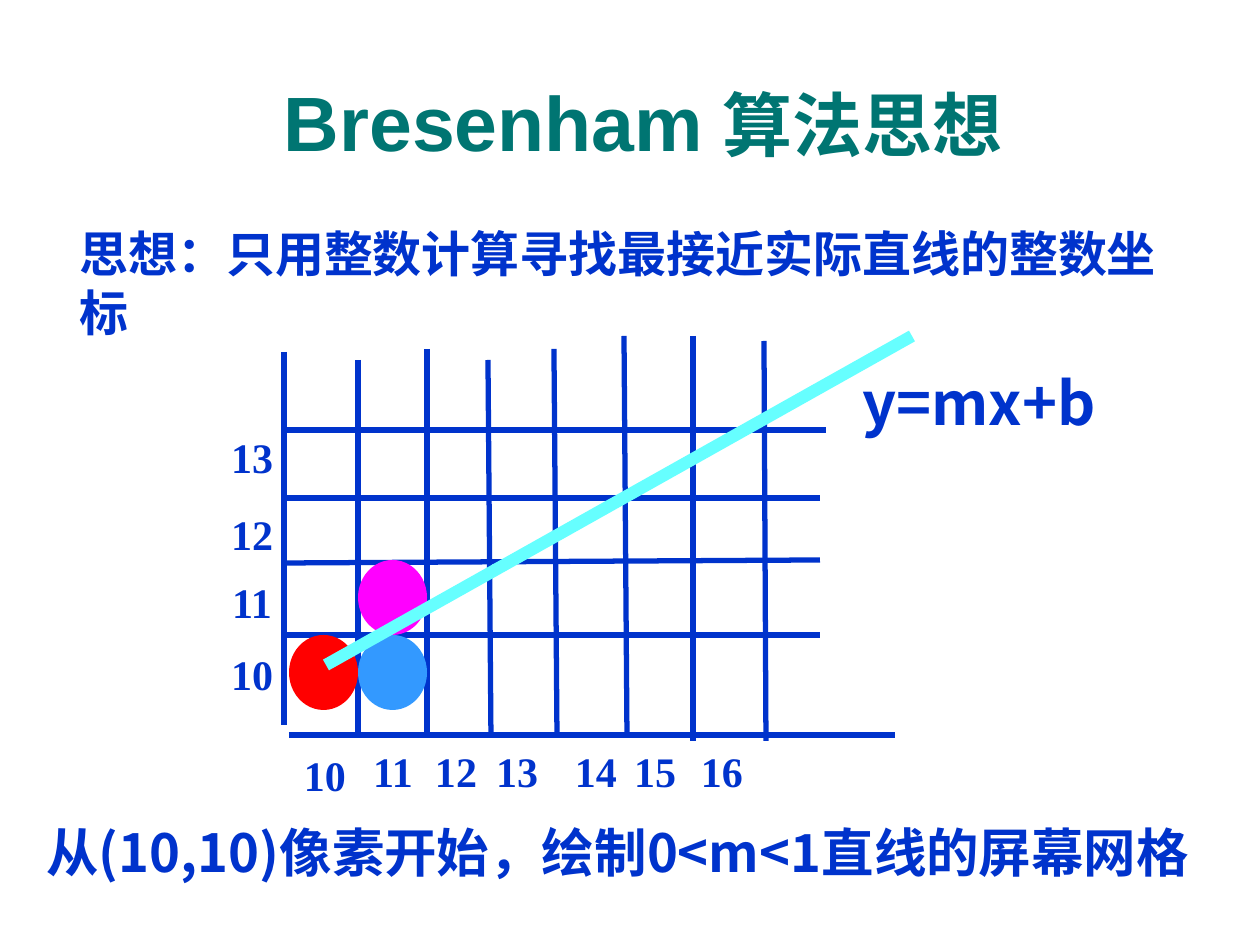
from pptx import Presentation
from pptx.dml.color import RGBColor
from pptx.enum.shapes import MSO_CONNECTOR, MSO_SHAPE
from pptx.enum.text import MSO_ANCHOR, PP_ALIGN
from pptx.oxml.ns import qn
from pptx.util import Emu, Pt

STRAIGHT, OVAL = MSO_CONNECTOR.STRAIGHT, MSO_SHAPE.OVAL
TOP, MIDDLE = MSO_ANCHOR.TOP, MSO_ANCHOR.MIDDLE
LEFT, CENTER = PP_ALIGN.LEFT, PP_ALIGN.CENTER
SCALE = 914400 / 126  # EMU per px

BLUE, TEAL, CYAN = "0033CC", "007572", "66FFFF"
ARIAL, SERIF, SANS = "Arial", "Times New Roman", "Noto Sans CJK SC"

# Content
TITLE = [(" ", 40), ("Bresenham", 44), (" 算法思想", 40)]
IDEA = "思想：只用整数计算寻找最接近实际直线的整数坐标"
CAPTION = "从(10,10)像素开始，绘制0<m<1直线的屏幕网格"
EQUATION = "y=mx+b"

AXES = [(289, 735, 895, 735), (284, 352, 284, 725)]
# Row lines: start y, end y, right end
ROWS = [(430, 430, 826), (498, 498, 820), (563, 560, 820), (635, 635, 820)]
# Column lines: top x, top y, bottom x, bottom y
COLUMNS = [
    (358, 360, 358, 735), (427, 349, 427, 735), (488, 360, 491, 735),
    (554, 349, 557, 735), (624, 336, 627, 735), (693, 336, 693, 741),
    (764, 341, 766, 741),
]
GRID_LEFT = 286
REAL_LINE = (326, 665, 912, 336)

FIRST_COORDINATE = 10
X_LABELS = [(304, 750), (372, 746), (435, 746), (496, 746),
            (575, 746), (634, 746), (701, 746)]
Y_LABELS = [(231, 649), (231, 577), (231, 509), (231, 432)]
LABEL_SIZE = (42, 50)

PIXELS = [(289, 635, "FF0000"), (358, 635, "3399FF"), (358, 560, "FF00FF")]
PIXEL_SIZE = (69, 75)


def px(*lengths):
    return [Emu(round(length * SCALE)) for length in lengths]


def color(value):
    return RGBColor.from_string(value)


def add_line(page, ends, ink=BLUE, width=3):
    line = page.shapes.add_connector(STRAIGHT, *px(*ends))
    line.line.color.rgb = color(ink)
    line.line.width = Pt(width)
    properties = line._element.spPr
    properties.append(properties.makeelement(qn("a:effectLst"), {}))


def add_text(page, place, spans, font, ink=BLUE, align=LEFT, anchor=TOP,
             inset=(0, 0), wrap=False, spacing=None):
    box = page.shapes.add_textbox(*px(*place))
    frame = box.text_frame
    frame.word_wrap = wrap
    frame.vertical_anchor = anchor
    frame.margin_left = frame.margin_right = px(inset[0])[0]
    frame.margin_top = frame.margin_bottom = px(inset[1])[0]
    para = frame.paragraphs[0]
    para.alignment = align
    if spacing:
        para.line_spacing = spacing
    for text, size in spans:
        span = para.add_run()
        span.text = text
        span.font.name = font
        span.font.size = Pt(size)
        span.font.bold = True
        span.font.color.rgb = color(ink)
        # East Asian characters
        properties = span._r.get_or_add_rPr()
        properties.append(properties.makeelement(qn("a:ea"), {"typeface": SANS}))


def main():
    deck = Presentation()
    deck.slide_width, deck.slide_height = px(1260, 945)
    page = deck.slides.add_slide(deck.slide_layouts[6])
    padding = (12.6, 6.3)

    # Heading and text
    add_text(page, (45, 68, 1177, 105), TITLE, ARIAL, TEAL, CENTER, MIDDLE, wrap=True)
    add_text(page, (67, 217, 1150, 72), [(IDEA, 28)], ARIAL, inset=padding)
    add_text(page, (34, 814, 1217, 76), [(CAPTION, 30)], SANS, inset=padding, wrap=True)

    # Grid
    for ends in AXES + COLUMNS:
        add_line(page, ends)
    for start, end, right in ROWS:
        add_line(page, (GRID_LEFT, start, right, end))

    # Coordinate labels
    for labels in (X_LABELS, Y_LABELS):
        for number, corner in enumerate(labels, FIRST_COORDINATE):
            add_text(page, corner + LABEL_SIZE, [(str(number), 24)], SERIF,
                     align=CENTER, anchor=MIDDLE)

    # Pixels
    for left, top, fill in PIXELS:
        pixel = page.shapes.add_shape(OVAL, *px(left, top, *PIXEL_SIZE))
        pixel.shadow.inherit = False
        pixel.fill.solid()
        pixel.fill.fore_color.rgb = color(fill)
        pixel.line.fill.background()

    # Real line and its equation
    add_line(page, REAL_LINE, CYAN, 7)
    add_text(page, (850, 368, 262, 77), [(EQUATION, 34)], SANS,
             inset=padding, wrap=True, spacing=0.9)

    deck.save("out.pptx")


if __name__ == "__main__":
    main()
